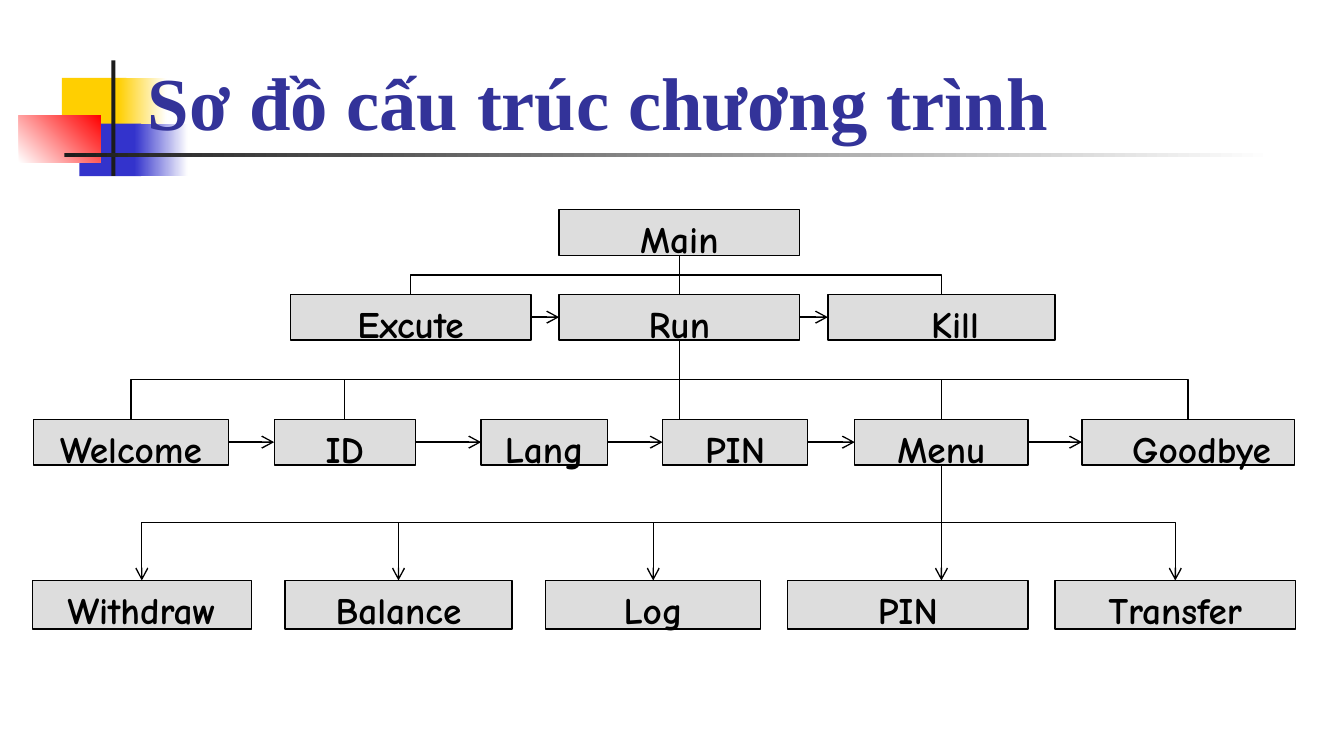
from lxml import etree
from pptx import Presentation
from pptx.dml.color import RGBColor
from pptx.enum import shapes, text
from pptx.oxml.ns import qn
from pptx.util import Inches, Pt

COLORS = {
    "yellow": "FFCF01", "blue": "3333CC", "red": "FF0000", "white": "FFFFFF",
    "dark": "1C1C1C", "title": "333399", "box": "DDDDDD", "ink": "000000",
}
TITLE = "Sơ đồ cấu trúc chương trình"

# left, top, width, height, colours (two make a gradient), angle
DECORATION = [
    (0.46, 0.58, 0.48, 0.39, ["yellow"], 0),
    (0.88, 0.58, 0.36, 0.39, ["yellow", "white"], 0),
    (0.59, 0.92, 0.46, 0.39, ["blue"], 0),
    (1.0, 0.92, 0.4, 0.39, ["blue", "white"], 0),
    (0.14, 0.86, 0.61, 0.35, ["white", "red"], 45),
    (0.83, 0.45, 0.03, 0.86, ["dark"], 0),
    (0.48, 1.14, 9.0, 0.03, ["dark", "white"], 0),
]

# Each level: top, height, whether siblings run in sequence,
# and modules as (label, left, width, extra left inset)
LEVELS = [
    (1.56, 0.34, False, [("Main", 4.16, 1.79, 0)]),
    (2.19, 0.34, True, [("Excute", 2.16, 1.79, 0), ("Run", 4.16, 1.79, 0),
                        ("Kill", 6.16, 1.69, 0.2)]),
    (3.12, 0.34, True, [("Welcome", 0.25, 1.45, 0), ("ID", 2.04, 1.05, 0),
                        ("Lang", 3.58, 0.94, 0), ("PIN", 4.93, 1.08, 0),
                        ("Menu", 6.36, 1.29, 0), ("Goodbye", 8.05, 1.58, 0.2)]),
    (4.32, 0.36, False, [("Withdraw", 0.24, 1.63, 0), ("Balance", 2.12, 1.69, 0),
                         ("Log", 4.06, 1.6, 0), ("PIN", 5.86, 1.79, 0),
                         ("Transfer", 7.85, 1.79, 0)]),
]
# parent label, its level, called modules one level down, arrowheads
CALLS = [
    ("Main", 0, ["Excute", "Run", "Kill"], False),
    ("Run", 1, ["Welcome", "ID", "PIN", "Menu", "Goodbye"], False),
    ("Menu", 2, ["Withdraw", "Balance", "Log", "PIN", "Transfer"], True),
]
TOP, LEFT, BOTTOM, RIGHT = range(4)
STRAIGHT, ELBOW = shapes.MSO_CONNECTOR.STRAIGHT, shapes.MSO_CONNECTOR.ELBOW

prs = Presentation()
prs.slide_width = Inches(10)
prs.slide_height = prs.slide_width * 9 // 16
slide = prs.slides.add_slide(prs.slide_layouts[6])


def rgb(name):
    return RGBColor.from_string(COLORS[name])


def add_rect(left, top, width, height, colors, angle=0):
    rect = slide.shapes.add_shape(shapes.MSO_SHAPE.RECTANGLE,
                                  *map(Inches, (left, top, width, height)))
    rect.shadow.inherit = False
    rect.line.fill.background()
    if len(colors) == 1:
        rect.fill.solid()
        rect.fill.fore_color.rgb = rgb(colors[0])
    else:
        rect.fill.gradient()
        rect.fill.gradient_angle = angle
        for stop, color in zip(rect.fill.gradient_stops, colors):
            stop.color.rgb = rgb(color)
    return rect


def write(shape, words, align, color, **font):
    paragraph = shape.text_frame.paragraphs[0]
    paragraph.text, paragraph.alignment = words, align
    paragraph.font.color.rgb = rgb(color)
    for key, value in font.items():
        setattr(paragraph.font, key, value)


def add_link(kind, start, start_side, end, end_side, arrow, end_point=(0, 0)):
    """Join two boxes; without an end box the link stops at end_point."""
    link = slide.shapes.add_connector(kind, 0, 0, *end_point)
    link.begin_connect(start, start_side)
    if end is not None:
        link.end_connect(end, end_side)
    link.line.color.rgb = rgb("ink")
    link.line.width = Pt(0.75)
    etree.SubElement(link._element.spPr, qn("a:effectLst"))
    if arrow:
        line = link._element.spPr.find(qn("a:ln"))
        etree.SubElement(line, qn("a:tailEnd"), type="arrow")
    return link


def add_call(parent, child, arrow):
    """Link a parent's bottom to a child's top, turning halfway down."""
    x1, y1 = parent.left + parent.width // 2, parent.top + parent.height
    x2, y2 = child.left + child.width // 2, child.top
    if x1 == x2:
        add_link(STRAIGHT, parent, BOTTOM, child, TOP, arrow)
    elif child.left < x1 < child.left + child.width:
        # A child that sits off centre below its parent gets a plain drop
        add_link(STRAIGHT, parent, BOTTOM, None, None, arrow, (x1, y2))
    else:
        # An elbow leaves sideways, so it is rotated a quarter turn
        link = add_link(ELBOW, parent, BOTTOM, child, TOP, arrow)
        link.width, link.height = y2 - y1, abs(x2 - x1)
        link.left = (x1 + x2 - link.width) // 2
        link.top = (y1 + y2 - link.height) // 2
        xfrm = link._element.spPr.find(qn("a:xfrm"))
        for key, value in {"rot": "5400000", "flipH": "0",
                           "flipV": str(int(x2 > x1))}.items():
            xfrm.set(key, value)


# Decoration and title
for left, top, width, height, colors, angle in DECORATION:
    add_rect(left, top, width, height, colors, angle)
heading = slide.shapes.add_textbox(*map(Inches, (1, 0.44, 8.75, 0.69)))
heading.text_frame.word_wrap = True
heading.text_frame.vertical_anchor = text.MSO_ANCHOR.BOTTOM
write(heading, TITLE, text.PP_ALIGN.LEFT, "title",
      name="Times New Roman", size=Pt(40), bold=True)

# Module boxes, with arrows along each sequence
levels = []
for top, height, in_sequence, modules in LEVELS:
    boxes = {}
    for label, left, width, inset in modules:
        box = boxes[label] = add_rect(left, top, width, height, ["box"])
        box.line.color.rgb = rgb("ink")
        box.line.width = Pt(0.75)
        box.text_frame.vertical_anchor = text.MSO_ANCHOR.TOP
        box.text_frame.margin_left = Inches(0.1 + inset)
        write(box, label, text.PP_ALIGN.CENTER, "ink",
              name="Comic Neue", size=Pt(20), bold=True)
    levels.append(boxes)
    if in_sequence:
        row = list(boxes.values())
        for before, after in zip(row, row[1:]):
            add_link(STRAIGHT, before, RIGHT, after, LEFT, True)

# Calls down the tree
for parent, level, children, arrow in CALLS:
    for child in children:
        add_call(levels[level][parent], levels[level + 1][child], arrow)

prs.save("out.pptx")
